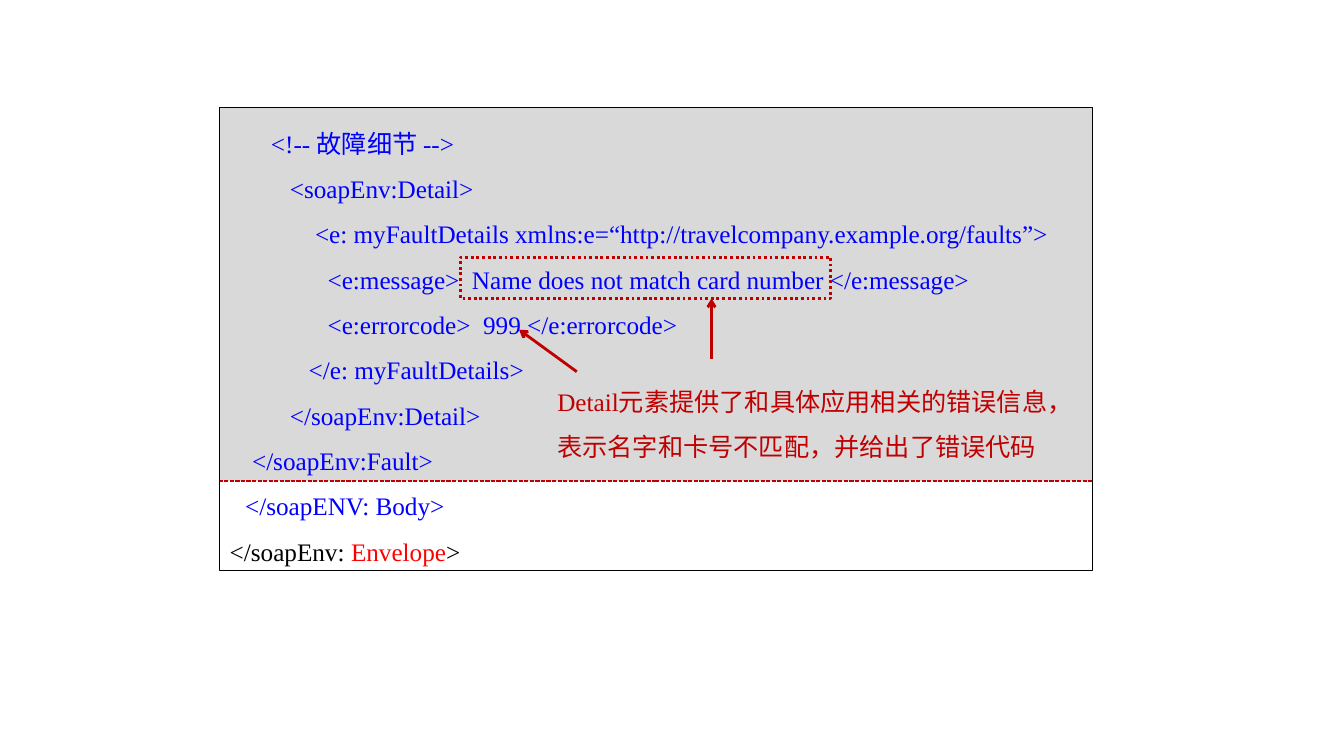
"""Build the slide that explains the detail part of a SOAP fault message."""
from dataclasses import dataclass

import lxml.etree
import pptx
import pptx.dml.color
import pptx.enum.dml
import pptx.enum.shapes
import pptx.enum.text
import pptx.oxml.ns
import pptx.util

Pt = pptx.util.Pt
Dash = pptx.enum.dml.MSO_LINE


@dataclass(frozen=True)
class Theme:
    """Colours, font and type size of the slide."""
    code: str = "0000FF"
    plain: str = "000000"
    keyword: str = "FF0000"
    accent: str = "C00000"
    panel: str = "D9D9D9"
    font: str = "Times New Roman"
    size: float = 18


THEME = Theme()
FAULT_INDENT, BODY_INDENT = 16, 11
FAULT_LINES = (
    "   <!-- 故障细节 -->",
    "      <soapEnv:Detail>",
    "          <e: myFaultDetails xmlns:e=“http://travelcompany.example.org/faults”>",
    "            <e:message>  Name does not match card number </e:message>",
    "            <e:errorcode>  999 </e:errorcode>",
    "         </e: myFaultDetails>",
    "      </soapEnv:Detail>",
    "</soapEnv:Fault>",
)
LISTING = [(FAULT_INDENT, [(line, THEME.code)]) for line in FAULT_LINES] + [
    (BODY_INDENT, [("</soapENV: Body>", THEME.code)]),
    (0, [("</soapEnv: ", THEME.plain), ("Envelope", THEME.keyword), (">", THEME.plain)]),
]
EXPLANATION = "Detail元素提供了和具体应用相关的错误信息，表示名字和卡号不匹配，并给出了错误代码"


def apply_format(target, values):
    """Set each named attribute of the target."""
    for name, value in values.items():
        setattr(target, name, value)


def rgb(value):
    """Turn a hex string into a colour."""
    return pptx.dml.color.RGBColor.from_string(value)


def style_line(line, color, width, dash=Dash.SOLID):
    """Give a line its colour, width and dash."""
    line.color.rgb = rgb(color)
    apply_format(line, {"width": Pt(width), "dash_style": dash})


def add_frame(slide, place, color, width, dash=Dash.SOLID, fill=None):
    """Add an outlined rectangle, filled only if a fill is given."""
    frame = slide.shapes.add_shape(
        pptx.enum.shapes.MSO_SHAPE.RECTANGLE, *map(Pt, place))
    frame.shadow.inherit = False
    if fill:
        frame.fill.solid()
        frame.fill.fore_color.rgb = rgb(fill)
    else:
        frame.fill.background()
    style_line(frame.line, color, width, dash)
    return frame


def write_text(box, paragraphs):
    """Write paragraphs, each an indent and its coloured spans."""
    frame = box.text_frame
    apply_format(frame, {
        "word_wrap": True,
        "auto_size": pptx.enum.text.MSO_AUTO_SIZE.SHAPE_TO_FIT_TEXT,
        "vertical_anchor": pptx.enum.text.MSO_ANCHOR.TOP,
    })
    for index, (indent, spans) in enumerate(paragraphs):
        para = frame.add_paragraph() if index else frame.paragraphs[0]
        apply_format(para, {
            "alignment": pptx.enum.text.PP_ALIGN.LEFT, "line_spacing": 1.5})
        para._p.get_or_add_pPr().set("indent", str(Pt(indent)))
        for text, color in spans:
            span = para.add_run()
            span.text = text
            apply_format(span.font, {"name": THEME.font, "size": Pt(THEME.size)})
            span.font.color.rgb = rgb(color)


def add_arrow(slide, start, end):
    """Add an accent arrow that points at its end."""
    arrow = slide.shapes.add_connector(
        pptx.enum.shapes.MSO_CONNECTOR.STRAIGHT, *map(Pt, start + end))
    style_line(arrow.line, THEME.accent, 2)
    qn = pptx.oxml.ns.qn
    lxml.etree.SubElement(arrow.line._get_or_add_ln(), qn("a:tailEnd"), type="arrow")
    lxml.etree.SubElement(arrow._element.spPr, qn("a:effectLst"))


def main():
    """Build and save the deck."""
    deck = pptx.Presentation()
    apply_format(deck, {"slide_width": Pt(960), "slide_height": Pt(540)})
    slide = deck.slides.add_slide(deck.slide_layouts.get_by_name("Blank"))

    add_frame(slide, (157, 77, 623.5, 266.5), THEME.accent, 1,
              Dash.SQUARE_DOT, THEME.panel)
    listing = add_frame(slide, (157, 77, 623.5, 330.5), THEME.plain, 0.75)
    write_text(listing, LISTING)
    add_frame(slide, (329, 183.75, 264.5, 29.5), THEME.accent, 2, Dash.ROUND_DOT)

    add_arrow(slide, (508.25, 256.25), (508.25, 213.25))
    explanation = slide.shapes.add_textbox(*map(Pt, (391, 261.5, 368.5, 68.5)))
    write_text(explanation, [(0, [(EXPLANATION, THEME.accent)])])
    add_arrow(slide, (412, 265.5), (370.75, 235.5))

    deck.save("out.pptx")


if __name__ == "__main__":
    main()
